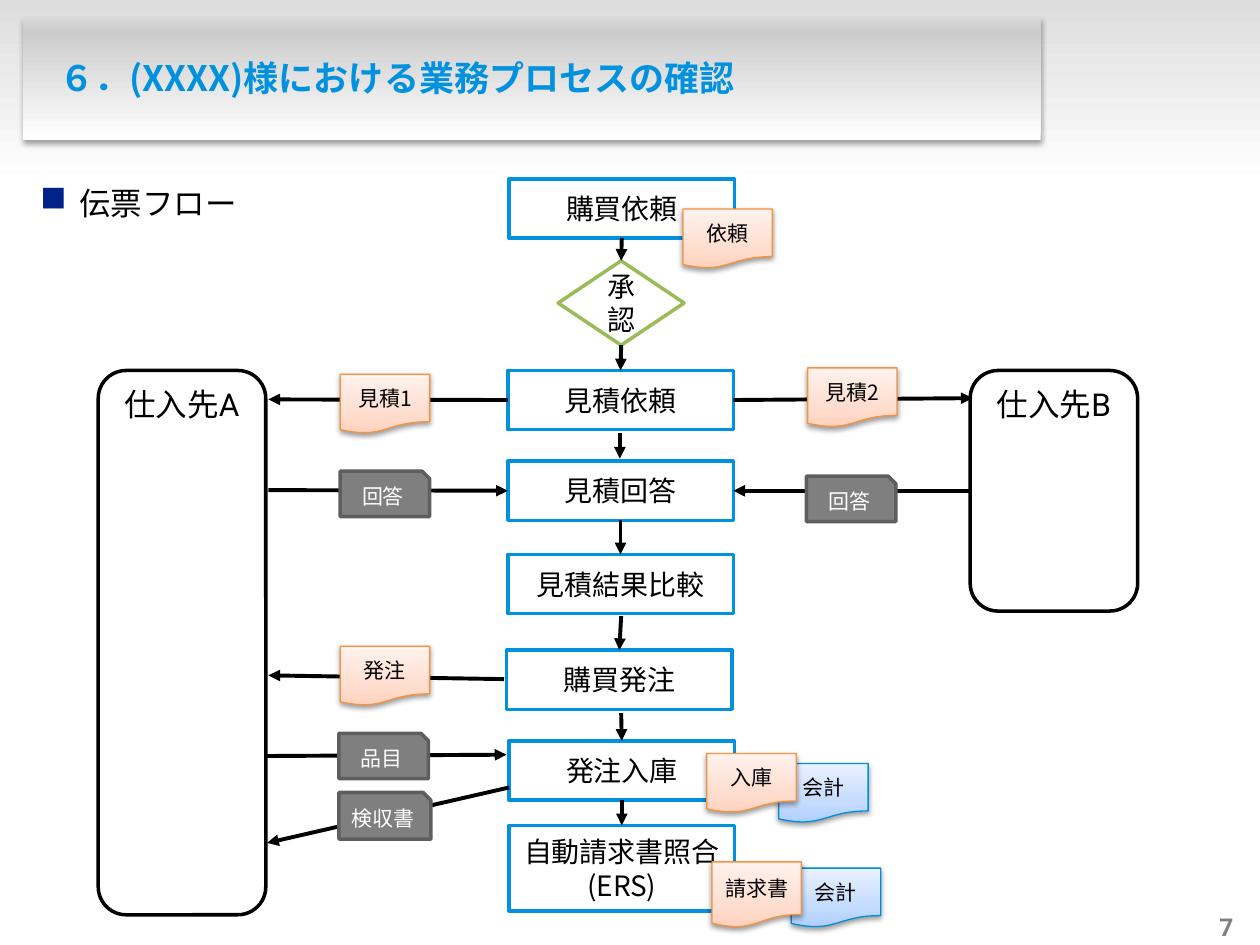
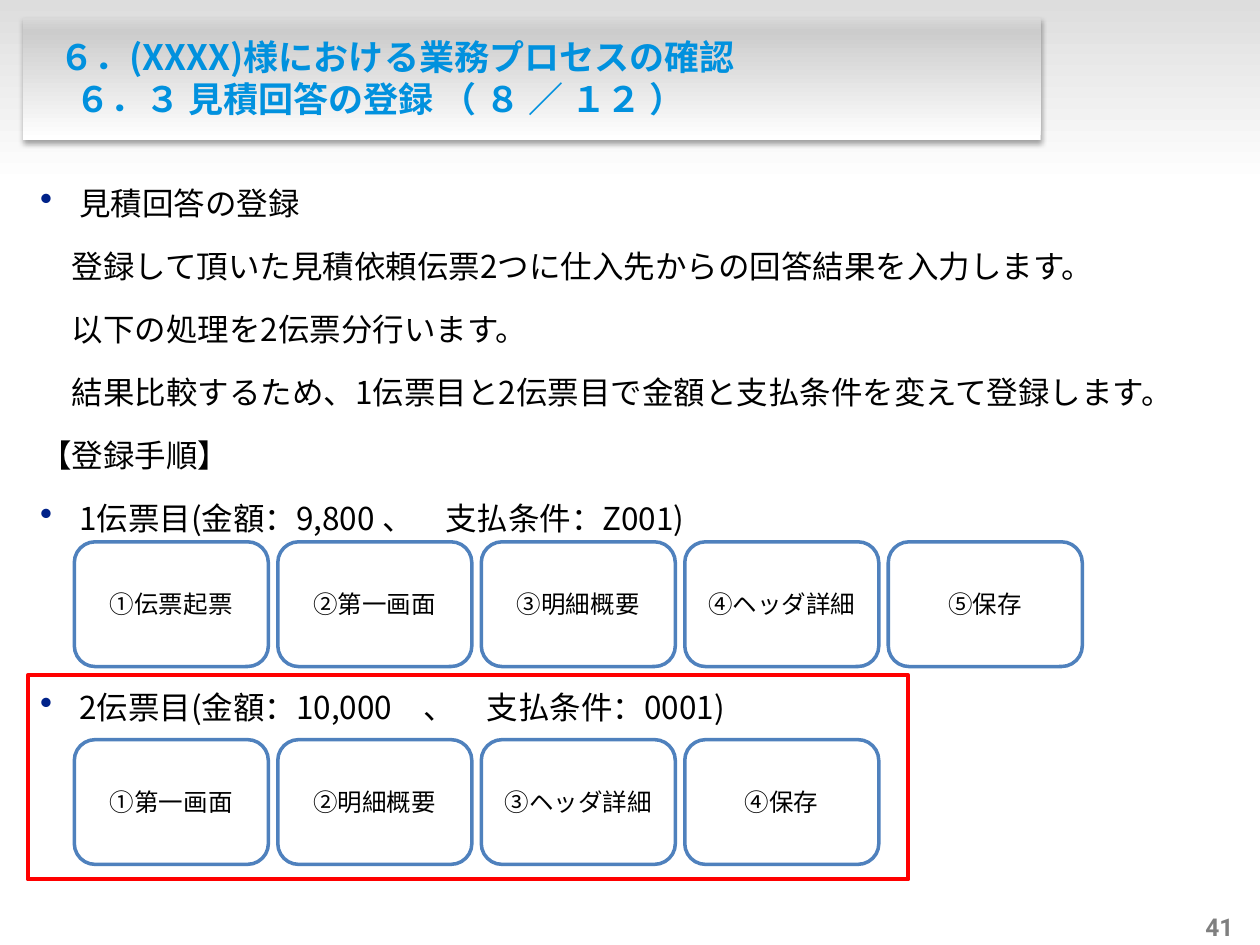
from lxml.etree import SubElement
from pptx import Presentation
from pptx.dml.color import RGBColor
from pptx.enum.shapes import MSO_CONNECTOR as LINE, MSO_SHAPE as SHAPE
from pptx.enum.text import MSO_ANCHOR as ANCHOR, PP_ALIGN as ALIGN
from pptx.oxml.ns import qn
from pptx.util import Emu, Inches, Pt

SANS, LATIN = "Noto Sans CJK JP", "Roboto"
BLACK, WHITE, BLUE, GREY = "000000", "FFFFFF", "0191DE", "7F7F7F"
TITLE = "６．(XXXX)様における業務プロセスの確認"
TOP, LEFT, BOTTOM, RIGHT = range(4)

# Slide 1: text, left, top (steps share one size unless given)
STEP_SIZE = (1.79, 0.47)
STEPS = [
    ("購買依頼", 4.04, 1.42),
    ("見積依頼", 4.03, 2.94),
    ("見積回答", 4.03, 3.66),
    ("見積結果比較", 4.03, 4.4),
    ("購買発注", 4.02, 5.16),
    ("発注入庫", 4.04, 5.88),
]
INVOICE_CHECK = ("自動請求書照合\n(ERS)", 4.04, 6.55, 1.79, 0.68)
APPROVAL = ("承認", 4.43, 2.07, 1, 0.67)
SUPPLIERS = [
    ("仕入先A", 0.78, 2.94, 1.33, 4.32),
    ("仕入先B", 7.7, 2.94, 1.33, 1.91),
]
# Each end is a point, or a box name with the side it joins
ARROWS = [
    (("購買依頼", BOTTOM), ("承認", TOP)),
    (("承認", BOTTOM), ("見積依頼", TOP)),
    ((4.92, 3.44), (4.92, 3.64)),
    (("見積回答", BOTTOM), ("見積結果比較", TOP)),
    ((4.93, 4.89), ("購買発注", TOP)),
    ((4.93, 5.66), ("発注入庫", TOP)),
    (("発注入庫", BOTTOM), (INVOICE_CHECK[0], TOP)),
    (("見積依頼", LEFT), (2.13, 3.17)),
    ((4, 5.39), (2.13, 5.36)),
    (("仕入先B", LEFT), ("見積回答", RIGHT)),
    ((2.13, 3.89), ("見積回答", LEFT)),
    ((2.12, 6), (4.02, 5.99)),
    ((4.04, 6.25), (2.12, 6.69)),
    (("見積依頼", RIGHT), (7.72, 3.16)),
]
SLIP_SIZE = (0.71, 0.47)
ACCOUNTING_SLIPS = [("会計", 6.28, 6.89), ("会計", 6.18, 6.06)]
SLIPS = [
    ("請求書", 5.65, 6.84, 0.71, 0.52),
    ("入庫", 5.61, 5.98),
    ("発注", 2.7, 5.13),
    ("見積1", 2.7, 2.97),
    ("見積2", 6.41, 2.92),
    ("依頼", 5.42, 1.66),
]
CARD_SIZE = (0.71, 0.36)
CARDS = [
    ("回答", 2.7, 3.74),
    ("回答", 6.4, 3.78),
    ("品目", 2.69, 5.82),
    ("検収書", 2.69, 6.29, 0.73, 0.37),
]
ORANGE_STOPS = [(0, "FFD2BD"), (35, "FFDED0"), (100, "FFF2ED")]
BLUE_STOPS = [(0, "ADCFFF"), (35, "C5DCFF"), (100, "E9F1FF")]

# Slide 2: text, bullet, left indent, space before in points
REPLY_LINES = [
    ("見積回答の登録", "•", 0.31, 0),
    ("登録して頂いた見積依頼伝票2つに仕入先からの回答結果を入力します。", None, 0.25, 3.6),
    ("以下の処理を2伝票分行います。", None, 0.25, 3.6),
    ("結果比較するため、1伝票目と2伝票目で金額と支払条件を変えて登録します。", None, 0.25, 3.6),
    ("【登録手順】", None, 0, 3.6),
    ("1伝票目(金額：9,800 、　支払条件：Z001)", "•", 0.31, 3.6),
    ("2伝票目(金額：10,000　、　支払条件：0001)", "•", 0.31, 75.6),
]
SCREEN_ROWS = [
    (4.3, ["①伝票起票", "②第一画面", "③明細概要", "④ヘッダ詳細", "⑤保存"]),
    (5.87, ["①第一画面", "②明細概要", "③ヘッダ詳細", "④保存"]),
]


def color(value):
    return RGBColor.from_string(value)


def style_text(para, size, tone=BLACK, bold=False, latin=SANS):
    for span in para.runs:
        for key, value in dict(size=Pt(size), bold=bold, name=latin).items():
            setattr(span.font, key, value)
        span.font.color.rgb = color(tone)
        east = SubElement(span.font._element, qn("a:ea"))
        east.set("typeface", SANS)


def set_indent(para, left, first=0):
    props = para._p.get_or_add_pPr()
    props.set("marL", str(Inches(left)))
    props.set("indent", str(Inches(first)))
    return props


def add_bullet(para, char, left):
    props = set_indent(para, left, -left)
    tone = SubElement(SubElement(props, qn("a:buClr")), qn("a:srgbClr"))
    tone.set("val", "002289")
    SubElement(props, qn("a:buSzPct")).set("val", "113000")
    SubElement(props, qn("a:buChar")).set("char", char)


def add_shadow(box, alpha, blur, distance):
    effects = box._element.spPr.find(qn("a:effectLst"))
    shadow = SubElement(effects, qn("a:outerShdw"), blurRad=str(Pt(blur)),
                        dist=str(Pt(distance)), dir="5400000", rotWithShape="0")
    tone = SubElement(shadow, qn("a:srgbClr"), val=BLACK)
    SubElement(tone, qn("a:alpha"), val=str(alpha * 1000))


def fill_gradient(box, stops, angle):
    box.fill.gradient()
    box.fill.gradient_angle = angle
    stop_list = box._element.spPr.find(qn("a:gradFill")).find(qn("a:gsLst"))
    for old in list(stop_list):
        stop_list.remove(old)
    for position, value in stops:
        stop = SubElement(stop_list, qn("a:gs"), pos=str(position * 1000))
        SubElement(stop, qn("a:srgbClr"), val=value)


def add_box(page, kind, place, text="", fill=WHITE, line=None, width=2, size=16,
            tone=BLACK, anchor=ANCHOR.MIDDLE, latin=SANS, angle=90):
    """fill is a hex string, a list of gradient stops, or None."""
    box = page.shapes.add_shape(kind, *map(Inches, place))
    box.shadow.inherit = False
    if fill is None:
        box.fill.background()
    elif isinstance(fill, list):
        fill_gradient(box, fill, angle)
    else:
        box.fill.solid()
        box.fill.fore_color.rgb = color(fill)
    if line:
        box.line.color.rgb = color(line)
        box.line.width = Pt(width)
    else:
        box.line.fill.background()
    if text:
        frame = box.text_frame
        frame.word_wrap, frame.vertical_anchor = True, anchor
        frame.text = text
        for para in frame.paragraphs:
            para.alignment = ALIGN.CENTER
            style_text(para, size, tone, latin=latin)
    return box


def add_text(page, place, text, anchor=ANCHOR.TOP, margins=(0.1, 0.05, 0.1, 0.05)):
    frame = page.shapes.add_textbox(*map(Inches, place)).text_frame
    frame.word_wrap, frame.vertical_anchor = True, anchor
    for side, margin in zip(("left", "top", "right", "bottom"), margins):
        setattr(frame, f"margin_{side}", Inches(margin))
    frame.text = text
    return frame.paragraphs


def add_body(page, lines):
    paras = add_text(page, (0.22, 1.26, 9.65, 5.74), "\n".join(line[0] for line in lines))
    for para, (_, bullet, left, before) in zip(paras, lines):
        if bullet:
            add_bullet(para, bullet, left)
        else:
            set_indent(para, left)
        para.line_spacing, para.space_before = 1.5, Pt(before)
        style_text(para, 18)


def add_arrow(page, start, end, boxes):
    """Draw an arrow between points or box sides."""
    def is_joined(point):
        return isinstance(point[0], str)

    ends = [(0, 0) if is_joined(point) else point for point in (start, end)]
    arrow = page.shapes.add_connector(LINE.STRAIGHT, *map(Inches, ends[0] + ends[1]))
    for point, connect in ((start, arrow.begin_connect), (end, arrow.end_connect)):
        if is_joined(point):
            connect(boxes[point[0]], point[1])
    arrow.line.color.rgb = color(BLACK)
    arrow.line.width = Pt(2.25)
    SubElement(arrow.line._get_or_add_ln(), qn("a:tailEnd"), type="triangle")
    SubElement(arrow._element.spPr, qn("a:effectLst"))


def add_page(deck, number, subtitle=None):
    page = deck.slides.add_slide(deck.slide_layouts[6])
    # Header band and title panel
    add_box(page, SHAPE.RECTANGLE, (0, 0, 10, 1.47),
            fill=[(0, "DDDDDD"), (100, WHITE)], angle=270)
    panel = add_box(page, SHAPE.RECTANGLE, (0.18, 0.14, 8.08, 0.97),
                    fill=[(0, WHITE), (89, "CCCCCC"), (100, "D9D9D9")])
    add_shadow(panel, 35, 3.1, 1.8)
    title = "\n".join(filter(None, (TITLE, subtitle)))
    paras = add_text(page, (0.28, 0.24, 7.86, 0.75), title, ANCHOR.MIDDLE, (0, 0.05, 0.05, 0.05))
    for para, left in zip(paras, (0.19, 0.32)):
        set_indent(para, left)
        style_text(para, 20, BLUE, True)
    # Page number
    para = add_text(page, (9.46, 7.23, 0.33, 0.24), number, ANCHOR.BOTTOM, (0, 0, 0, 0))[0]
    para.alignment = ALIGN.RIGHT
    style_text(para, 14, GREY, True, LATIN)
    return page


def add_slips(page, slips, stops, line):
    for text, *place in slips:
        slip = add_box(page, SHAPE.FLOWCHART_DOCUMENT, (*place, *SLIP_SIZE)[:4], text,
                       stops, line, 0.75, 12)
        add_shadow(slip, 38, 3.1, 1.6)


def build_flow(deck):
    page = add_page(deck, "7")
    add_body(page, [("伝票フロー", "■", 0.31, 0)])
    add_slips(page, ACCOUNTING_SLIPS, BLUE_STOPS, "008EDA")
    # Steps, approval and suppliers
    boxes = {}
    for text, *place in [INVOICE_CHECK, *STEPS]:
        boxes[text] = add_box(page, SHAPE.RECTANGLE, (*place, *STEP_SIZE)[:4], text, line=BLUE)
    text, *place = APPROVAL
    boxes[text] = add_box(page, SHAPE.FLOWCHART_DECISION, place, text, line="9BBB59")
    for text, *place in SUPPLIERS:
        boxes[text] = add_box(page, SHAPE.ROUNDED_RECTANGLE, place, text, line=BLACK,
                              size=18, anchor=ANCHOR.TOP, latin=LATIN)
    for start, end in ARROWS:
        add_arrow(page, start, end, boxes)
    # Documents on the arrows
    add_slips(page, SLIPS, ORANGE_STOPS, "F69240")
    for text, *place in CARDS:
        add_box(page, SHAPE.SNIP_1_RECTANGLE, (*place, *CARD_SIZE)[:4], text, GREY, "5E5E5E",
                size=12, tone=WHITE)


def build_reply(deck):
    page = add_page(deck, "41", "６．３ 見積回答の登録 （ ８ ／ １２ ）")
    add_body(page, REPLY_LINES)
    # Screens, evenly spaced in each row
    for top, screens in SCREEN_ROWS:
        for index, text in enumerate(screens):
            add_box(page, SHAPE.ROUNDED_RECTANGLE, (0.59 + 1.615 * index, top, 1.54, 0.99),
                    text, line="4F81BD", size=14)
    # Highlight around the second slip
    add_box(page, SHAPE.RECTANGLE, (0.22, 5.36, 6.99, 1.62), fill=None, line="FF0000", width=2.25)


def main():
    deck = Presentation()
    deck.slide_width, deck.slide_height = Inches(10), Inches(7.5)
    build_flow(deck)
    build_reply(deck)
    deck.save("out.pptx")


if __name__ == "__main__":
    main()
